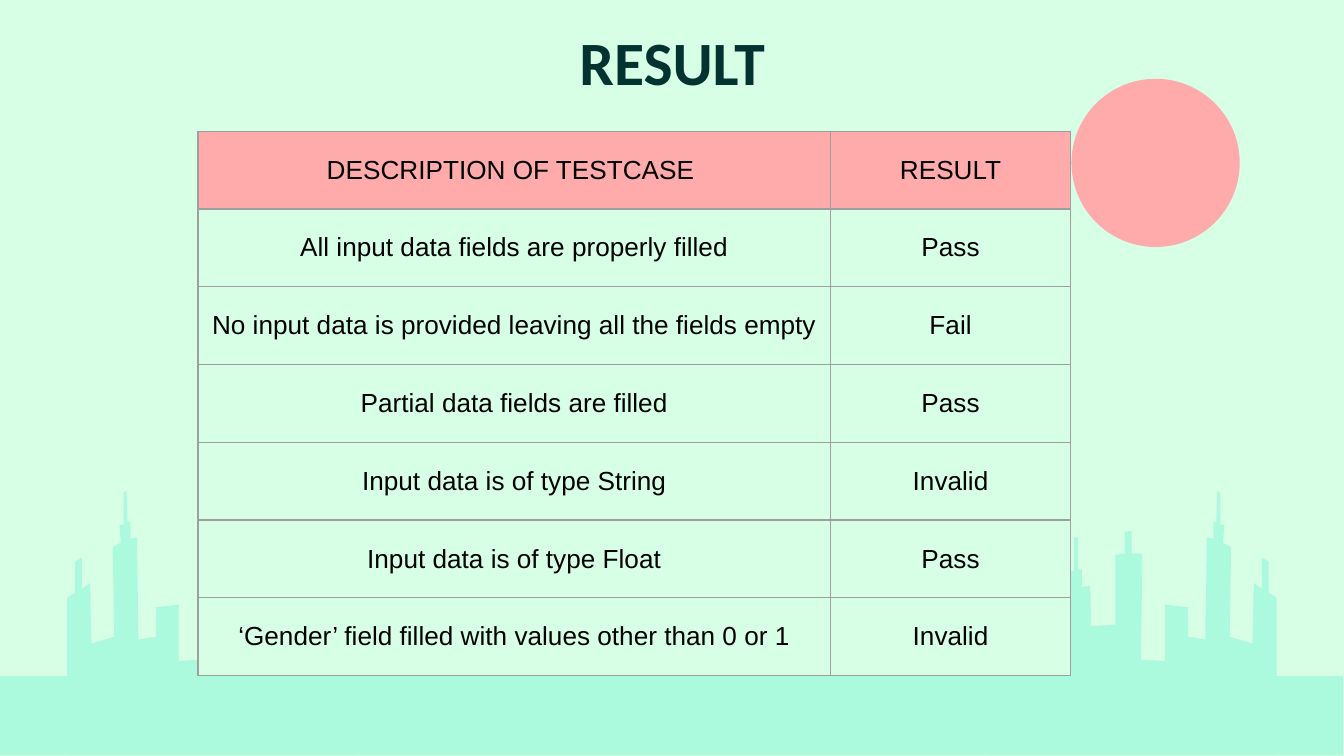
import dataclasses

import lxml.etree
import pptx
import pptx.dml.color
import pptx.enum.shapes
import pptx.enum.text
import pptx.oxml.ns
import pptx.util

Cm = pptx.util.Cm
SHAPE = pptx.enum.shapes.MSO_SHAPE


@dataclasses.dataclass(frozen=True)
class Theme:
    background: str = "D6FFE6"
    city: str = "ABFADD"
    accent: str = "FFABAB"
    title: str = "023330"
    body: str = "000000"
    border: str = "9E9E9E"
    title_font: str = "Calibri"
    body_font: str = "Arial"
    title_size: int = 33
    body_size: int = 14
    border_width: float = 0.75


def rgb(value):
    return pptx.dml.color.RGBColor.from_string(value)


def write_text(frame, text, font, size, color, bold=False):
    paragraph = frame.paragraphs[0]
    paragraph.alignment = pptx.enum.text.PP_ALIGN.CENTER
    run = paragraph.add_run()
    run.text = text
    run.font.name = font
    run.font.size = pptx.util.Pt(size)
    run.font.bold = bold
    run.font.color.rgb = rgb(color)


class SlideBuilder:
    def __init__(self, slide, theme):
        self.slide = slide
        self.theme = theme
        slide.background.fill.solid()
        slide.background.fill.fore_color.rgb = rgb(theme.background)

    def paint(self, shape, color):
        shape.shadow.inherit = False
        shape.fill.solid()
        shape.fill.fore_color.rgb = rgb(color)
        shape.line.fill.background()

    def shape(self, kind, left, top, width, height, color):
        self.paint(self.slide.shapes.add_shape(
            kind, Cm(left), Cm(top), Cm(width), Cm(height)), color)

    def outline(self, points, color):
        """Draw a closed outline from points in hundredths of an inch."""
        pen = self.slide.shapes.build_freeform(*points[0], scale=Cm(2.54) / 100)
        pen.add_line_segments(points[1:], close=True)
        self.paint(pen.convert_to_shape(), color)

    def title(self, text, left, top, width, height):
        box = self.slide.shapes.add_textbox(Cm(left), Cm(top), Cm(width), Cm(height))
        frame = box.text_frame
        frame.word_wrap = True
        frame.vertical_anchor = pptx.enum.text.MSO_ANCHOR.MIDDLE
        frame.margin_left = frame.margin_right = Cm(0.25)
        frame.margin_top = frame.margin_bottom = Cm(0.25)
        write_text(frame, text, font=self.theme.title_font,
                   size=self.theme.title_size, color=self.theme.title, bold=True)

    def cell_borders(self, cell):
        properties = cell._tc.get_or_add_tcPr()
        qn = pptx.oxml.ns.qn
        for position, side in enumerate(("lnL", "lnR", "lnT", "lnB")):
            line = lxml.etree.Element(
                qn("a:" + side), w=str(pptx.util.Pt(self.theme.border_width)))
            fill = lxml.etree.SubElement(line, qn("a:solidFill"))
            lxml.etree.SubElement(fill, qn("a:srgbClr"), val=self.theme.border)
            properties.insert(position, line)

    def table(self, rows, left, top, column_widths, row_height):
        table = self.slide.shapes.add_table(
            len(rows), len(column_widths), Cm(left), Cm(top),
            Cm(sum(column_widths)), Cm(row_height * len(rows))).table
        table.first_row = table.horz_banding = False
        for column, width in zip(table.columns, column_widths):
            column.width = Cm(width)
        for index, values in enumerate(rows):
            table.rows[index].height = Cm(row_height)
            for cell, value in zip(table.rows[index].cells, values):
                cell.vertical_anchor = pptx.enum.text.MSO_ANCHOR.MIDDLE
                cell.margin_left = cell.margin_right = Cm(0.25)
                cell.margin_top = cell.margin_bottom = Cm(0.25)
                cell.fill.solid()
                cell.fill.fore_color.rgb = rgb(
                    self.theme.background if index else self.theme.accent)
                self.cell_borders(cell)
                write_text(cell.text_frame, value, font=self.theme.body_font,
                           size=self.theme.body_size, color=self.theme.body)


# Left skyline in hundredths of an inch; the right one mirrors it
SLIDE_SPAN = 1000
SKYLINE = [
    (94, 365), (92, 367), (92, 390), (89, 391), (90, 404), (84, 407), (85, 474),
    (68, 479), (67, 434), (61, 438), (61, 415), (56, 418), (56, 441), (50, 445),
    (50, 562), (264, 562), (264, 429), (249, 418), (248, 502), (235, 499),
    (236, 482), (237, 384), (221, 375), (219, 478), (207, 476), (207, 440),
    (203, 439), (203, 425), (201, 425), (201, 400), (198, 400), (198, 424),
    (195, 424), (195, 437), (189, 436), (188, 466), (170, 465), (170, 413),
    (163, 412), (163, 396), (158, 395), (158, 412), (150, 412), (151, 491),
    (133, 492), (133, 450), (116, 452), (116, 474), (103, 476), (102, 400),
    (97, 401), (97, 388), (95, 389),
]

TEST_RESULTS = [
    ("DESCRIPTION OF TESTCASE ", "RESULT"),
    ("All input data fields are properly filled", "Pass"),
    ("No input data is provided leaving all the fields empty", "Fail"),
    ("Partial data fields are filled", "Pass"),
    ("Input data is of type String", "Invalid"),
    ("Input data is of type Float", "Pass"),
    ("‘Gender’ field filled with values other than 0 or 1", "Invalid"),
]


def main():
    theme = Theme()
    deck = pptx.Presentation()
    deck.slide_width, deck.slide_height = Cm(25.4), Cm(14.29)
    builder = SlideBuilder(deck.slides.add_slide(deck.slide_layouts[6]), theme)

    # City and sun
    builder.shape(SHAPE.RECTANGLE, -0.02, 12.78, 25.4, 1.5, theme.city)
    builder.outline(SKYLINE, theme.city)
    builder.outline([(SLIDE_SPAN - x, y) for x, y in SKYLINE], theme.city)
    builder.shape(SHAPE.OVAL, 20.25, 1.49, 3.18, 3.18, theme.accent)

    # Title and test results
    builder.title("RESULT", 6.38, 0.36, 12.65, 1.6)
    builder.table(TEST_RESULTS, left=3.74, top=2.48,
                  column_widths=(11.96, 4.53), row_height=1.47)

    deck.save("out.pptx")


if __name__ == "__main__":
    main()
